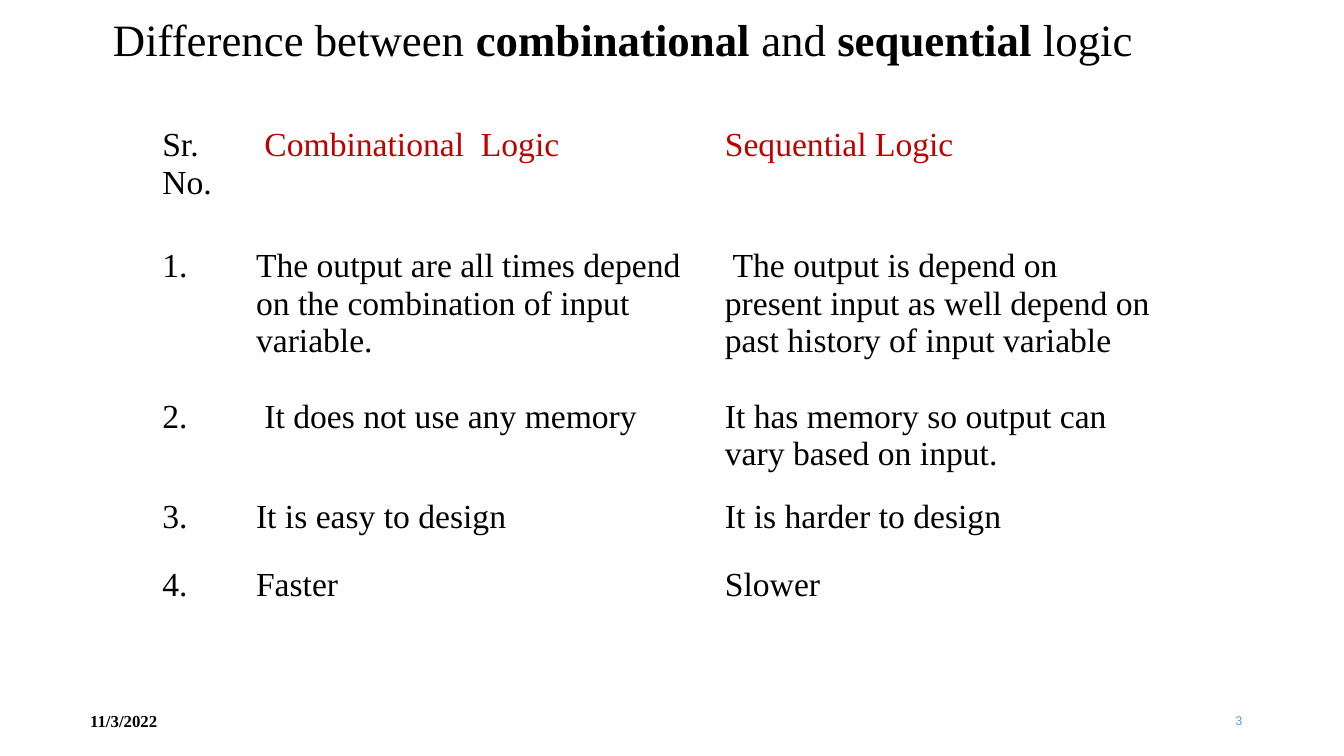
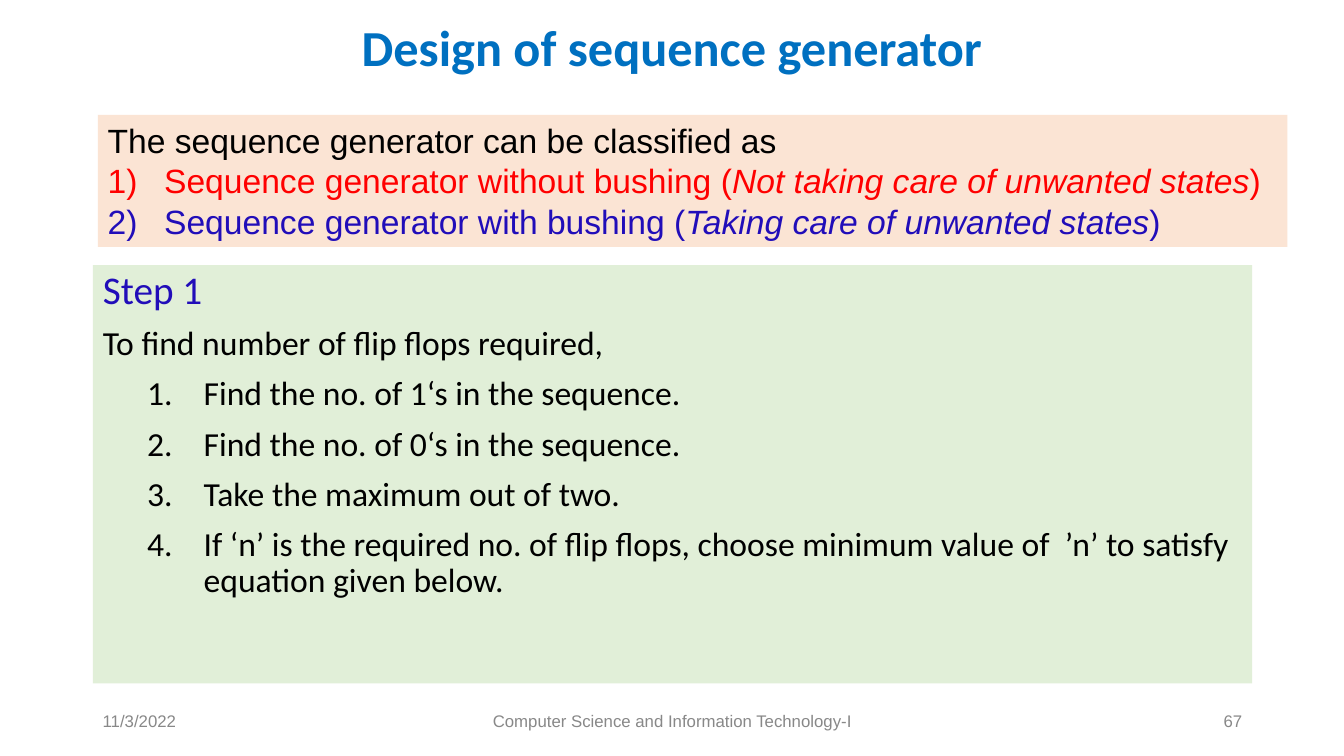
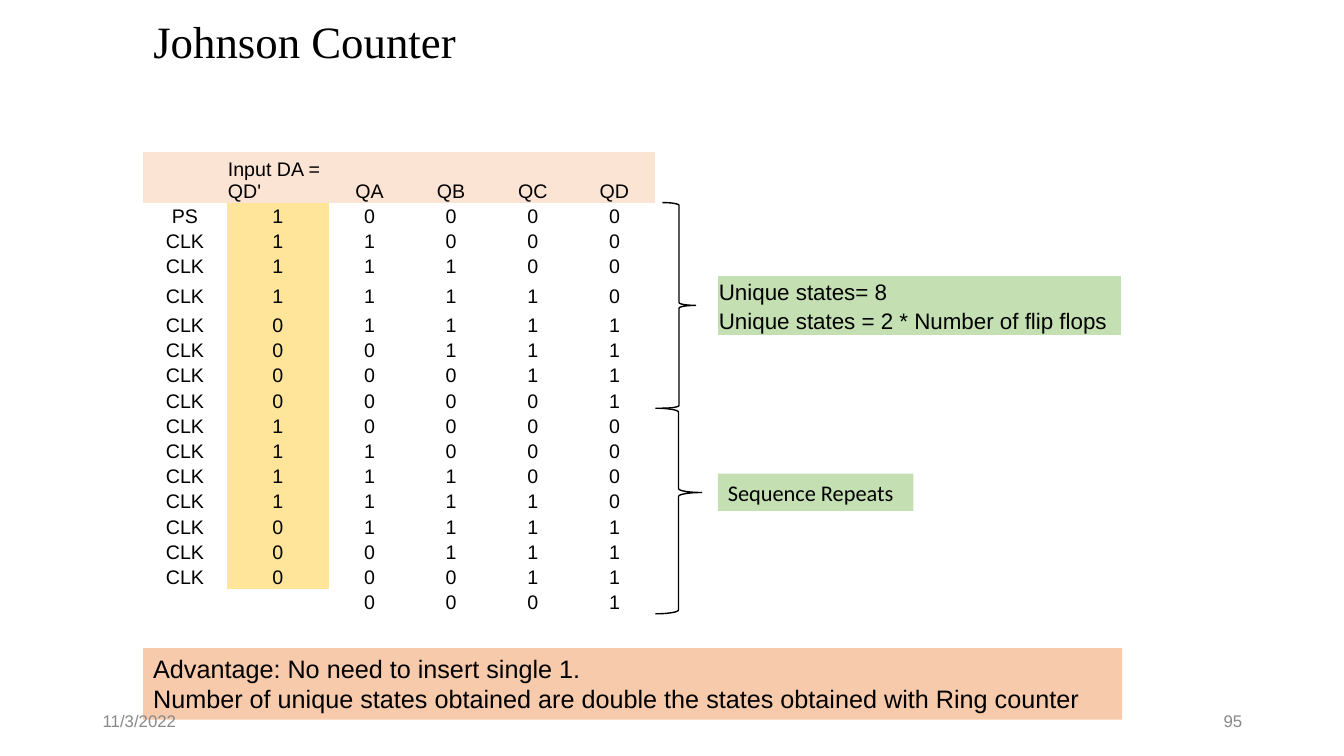
from itertools import accumulate, repeat

from lxml import etree
from pptx import Presentation
from pptx.dml.color import RGBColor
from pptx.enum.shapes import MSO_SHAPE
from pptx.enum.text import MSO_ANCHOR, MSO_AUTO_SIZE, PP_ALIGN
from pptx.oxml.ns import qn
from pptx.util import Emu, Pt

LEFT, CENTER, RIGHT = PP_ALIGN.LEFT, PP_ALIGN.CENTER, PP_ALIGN.RIGHT
TOP, MIDDLE, BOTTOM = MSO_ANCHOR.TOP, MSO_ANCHOR.MIDDLE, MSO_ANCHOR.BOTTOM
RECTANGLE, BRACE = MSO_SHAPE.RECTANGLE, MSO_SHAPE.RIGHT_BRACE
NO_AUTOFIT = MSO_AUTO_SIZE.NONE

EMU_PER_PX = 9144
TITLE_ONLY, TITLE_AND_BODY = 5, 1
PLAIN_TABLE_STYLE = "{2D5ABB26-0587-4C30-8999-92F81FD0307C}"
SERIF, SANS, HUMANIST = "Times New Roman", "Arial", "Calibri"
BLACK, GREY, RED, DARK_RED = "000000", "888888", "FF0000", "C00000"
BLUE, INDIGO, SKY = "0070C0", "210DB9", "5B9BD5"
PEACH, ORANGE, YELLOW = "FBE4D4", "F7CAAC", "FEE599"
MINT, GREEN = "E1EFD8", "C4E0B2"
BOX_MARGINS, TIGHT_MARGINS = (10, 5, 10, 5), (1, 1, 1, 0)
DATE = "11/3/2022"


def px(length):
    return Emu(length * EMU_PER_PX)


def rgb(hex_color):
    return RGBColor.from_string(hex_color)


def para(*runs, **style):
    """Pair the runs (text, or text with font changes) with paragraph style."""
    return runs, style


def set_attributes(target, values):
    for name, value in values.items():
        setattr(target, name, value)


def set_margins(target, margins):
    names = ("margin_left", "margin_top", "margin_right", "margin_bottom")
    set_attributes(target, dict(zip(names, map(px, margins))))


def set_fill(target, color):
    if color is None:
        target.fill.background()
    else:
        target.fill.solid()
        target.fill.fore_color.rgb = rgb(color)


def number_paragraph(paragraph, scheme, left, hanging, color):
    """Number the paragraph by the scheme, or clear its bullet if None."""
    properties = paragraph._p.get_or_add_pPr()
    properties.set("marL", str(px(left)))
    properties.set("indent", str(-px(hanging)))
    if scheme is None:
        etree.SubElement(properties, qn("a:buNone"))
        return
    bullet_color = etree.SubElement(properties, qn("a:buClr"))
    etree.SubElement(bullet_color, qn("a:srgbClr"), val=color)
    etree.SubElement(properties, qn("a:buAutoNum"), type=scheme)


class Deck:
    defaults = {"size": 24, "font": SANS, "color": BLACK, "bold": False,
                "italic": False, "align": LEFT, "line": 1.0, "before": 0,
                "scheme": None, "left": 0, "hanging": 0}

    def __init__(self, width, height):
        self.presentation = Presentation()
        self.presentation.slide_width = px(width)
        self.presentation.slide_height = px(height)
        self.slide = None

    def new_slide(self, layout=TITLE_ONLY):
        layouts = self.presentation.slide_layouts
        self.slide = self.presentation.slides.add_slide(layouts[layout])

    def set_text(self, frame, paragraphs, **style):
        for index, (runs, changes) in enumerate(paragraphs):
            look = {**self.defaults, **style, **changes}
            paragraph = frame.paragraphs[0] if index == 0 else frame.add_paragraph()
            number_paragraph(paragraph, look["scheme"], look["left"],
                             look["hanging"], look["color"])
            set_attributes(paragraph, {
                "alignment": look["align"], "line_spacing": look["line"],
                "space_before": Pt(look["before"]), "space_after": Pt(0)})
            for run in runs:
                text, font_changes = (run, {}) if isinstance(run, str) else run
                self.add_run(paragraph, text, {**look, **font_changes})
            if not runs:
                etree.SubElement(paragraph._p, qn("a:endParaRPr"),
                                 sz=str(look["size"] * 100))

    def add_run(self, paragraph, text, look):
        run = paragraph.add_run()
        run.text = text
        set_attributes(run.font, {
            "size": Pt(look["size"]), "name": look["font"],
            "bold": look["bold"], "italic": look["italic"]})
        run.font.color.rgb = rgb(look["color"])

    def fill_frame(self, shape, paragraphs, anchor, **style):
        frame = shape.text_frame
        set_attributes(frame, {"word_wrap": True, "auto_size": NO_AUTOFIT,
                               "vertical_anchor": anchor})
        set_margins(frame, BOX_MARGINS)
        self.set_text(frame, paragraphs, **style)

    def place(self, shape, box):
        set_attributes(shape, dict(zip(("left", "top", "width", "height"),
                                       map(px, box))))

    def title(self, box, *runs, anchor=MIDDLE, **style):
        look = {"size": 32, "font": SERIF, "line": 0.9, **style}
        self.place(self.slide.shapes.title, box)
        self.fill_frame(self.slide.shapes.title, [para(*runs)], anchor, **look)

    def body(self, box, fill, paragraphs, **style):
        body = self.slide.placeholders[1]
        self.place(body, box)
        set_fill(body, fill)
        self.fill_frame(body, paragraphs, TOP, **style)

    def panel(self, box, fill, paragraphs, **style):
        panel = self.slide.shapes.add_shape(RECTANGLE, *map(px, box))
        panel.shadow.inherit = False
        set_fill(panel, fill)
        panel.line.fill.background()
        self.fill_frame(panel, paragraphs, TOP, **style)

    def brace(self, box, point=0.5):
        brace = self.slide.shapes.add_shape(BRACE, *map(px, box))
        brace.shadow.inherit = False
        brace.adjustments[1] = point
        set_fill(brace, None)
        brace.line.color.rgb = rgb(BLACK)
        brace.line.width = Pt(1)

    def table(self, corner, widths, heights, rows, fill_of=None,
              style_of=None, margins=BOX_MARGINS, anchor=TOP, **style):
        """Add a borderless table; fill_of and style_of take row and column."""
        table = self.slide.shapes.add_table(
            len(heights), len(widths),
            *map(px, (*corner, sum(widths), sum(heights)))).table
        table.first_row = table.horz_banding = False
        table._tbl.tblPr.find(qn("a:tableStyleId")).text = PLAIN_TABLE_STYLE
        for column, width in zip(table.columns, widths):
            column.width = px(width)
        for row, height in zip(table.rows, heights):
            row.height = px(height)
        for r, texts in enumerate(rows):
            for c, text in enumerate(texts):
                cell = table.cell(r, c)
                set_margins(cell, margins)
                cell.vertical_anchor = anchor
                set_fill(cell, fill_of(r, c) if fill_of else None)
                changes = style_of(r, c) if style_of else {}
                self.set_text(cell.text_frame, [para(*([text] if text else []))],
                              **{**style, **changes})
        return table

    def footer_text(self, left, width, text, **style):
        box = self.slide.shapes.add_textbox(*map(px, (left, 695, width, 40)))
        look = {"size": 12, "color": GREY, **style}
        self.fill_frame(box, [para(text)], MIDDLE, **look)

    def slide_number(self, number, **style):
        self.footer_text(942, 300, number, align=RIGHT, **style)


def comparison_slide(deck):
    deck.new_slide()
    strong = {"bold": True}
    deck.title((102, 13, 1039, 108), "Difference between ",
               ("combinational ", strong), "and ", ("sequential ", strong),
               "logic", anchor=TOP)
    rows = [
        ("Sr. No.", " Combinational  Logic", "Sequential Logic"),
        ("1.", "The output are all times depend on the combination of input variable.",
         " The output is depend on present input as well depend on past history of input variable"),
        ("2.", " It does not use any memory",
         "It has memory so output can vary based on input."),
        ("3.", "It is easy to design", "It is harder to design"),
        ("4.", "Faster", "Slower"),
    ]
    deck.table((151, 121), (93, 465, 454), (120, 149, 100, 67, 67), rows,
               style_of=lambda r, c: {"color": DARK_RED if r == 0 and c else BLACK},
               font=SERIF)
    deck.footer_text(70, 96, DATE, font=SERIF, color=BLACK, bold=True, align=RIGHT)
    deck.slide_number("3", size=9, color=SKY)


def generator_slide(deck):
    deck.new_slide(TITLE_AND_BODY)
    deck.title((112, 15, 1109, 69), "Design of sequence generator",
               size=36, font=HUMANIST, color=BLUE, bold=True, align=CENTER)
    steps = ("Find the no. of 1‘s in the sequence.",
             "Find the no. of 0‘s in the sequence.",
             "Take the maximum out of two.",
             "If ‘n’ is the required no. of flip flops, choose minimum value of"
             "  ’n’ to satisfy equation given below.")
    deck.body((92, 263, 1150, 415), MINT, [
        para("Step 1", size=28, color=INDIGO, before=0),
        para("To find number of flip flops required,"),
        *(para(step, scheme="arabicPeriod", left=100, hanging=56) for step in steps),
    ], font=HUMANIST, line=0.9, before=10)
    kinds = (("Sequence generator without bushing (",
              "Not taking care of unwanted states", RED),
             ("Sequence generator with bushing (",
              "Taking care of unwanted states", INDIGO))
    deck.panel((97, 114, 1180, 131), PEACH, [
        para("The sequence generator can be classified as"),
        *(para(kind, (remark, {"italic": True}), ")", color=color,
               scheme="arabicParenR", left=56, hanging=56)
          for kind, remark, color in kinds),
    ])
    deck.footer_text(92, 300, DATE)
    deck.footer_text(442, 450, "Computer Science and Information Technology-I",
                     align=CENTER)
    deck.slide_number("67")


def johnson_rows(count):
    """List the counter states, each with the inverted QD that is fed back."""
    states = accumulate(repeat(None, count - 1),
                        lambda state, _: (1 - state[-1], *state[:-1]),
                        initial=(0, 0, 0, 0))
    rows = [["CLK", str(1 - state[-1]), *map(str, state)] for state in states]
    rows[0][0] = "PS"
    rows[-1][:2] = "", ""
    return rows


def johnson_slide(deck):
    deck.new_slide()
    deck.title((142, 20, 919, 48), "Johnson Counter")
    rows = [("", "Input DA = QD'", "QA", "QB", "QC", "QD"), *johnson_rows(16)]
    last = len(rows) - 1

    def state_fill(r, c):
        if r == 0:
            return PEACH
        return YELLOW if c == 1 and r < last else None

    deck.table((142, 151), (83, 101, 81, 81, 81, 81),
               (50, *[25] * 3, *[29] * 2, *[25] * 11), rows, state_fill,
               lambda r, c: {"align": LEFT if (r, c) == (0, 1) else CENTER},
               TIGHT_MARGINS, BOTTOM, size=14)
    deck.brace((657, 201, 33, 204))
    deck.brace((650, 405, 46, 204), point=0.41)
    unique_states = deck.table(
        (712, 274), (178, 74, 74, 74), (29, 29),
        [("Unique states= 8", "", "", ""),
         ("Unique states = 2 * Number of flip flops", "", "", "")],
        lambda r, c: GREEN, margins=TIGHT_MARGINS, anchor=BOTTOM, size=16)
    unique_states.cell(1, 0).merge(unique_states.cell(1, 3))
    deck.panel((712, 470, 194, 37), GREEN, [para("Sequence Repeats")],
               size=16, font=HUMANIST)
    deck.panel((142, 643, 971, 71), ORANGE, [
        para("Advantage: No need to insert single 1."),
        para("Number of unique states obtained are double the states obtained"
             " with Ring counter"),
    ], size=18)
    deck.footer_text(92, 300, DATE)
    deck.slide_number("95")


def main():
    deck = Deck(1333, 750)
    comparison_slide(deck)
    generator_slide(deck)
    johnson_slide(deck)
    deck.presentation.save("out.pptx")


if __name__ == "__main__":
    main()
